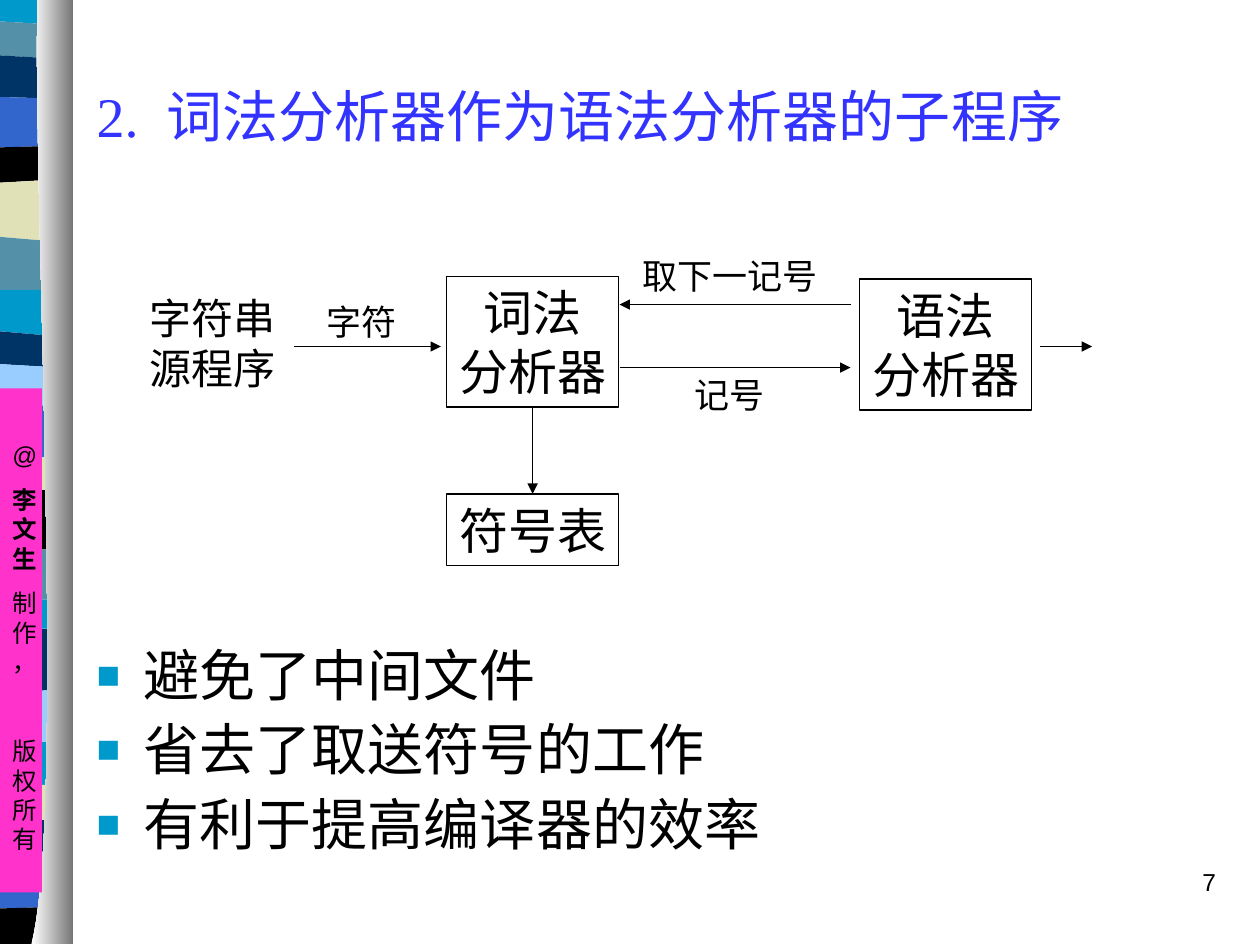
from pptx import Presentation, util as u
from pptx.dml.color import RGBColor
from pptx.enum import shapes, text
from pptx.oxml import parse_xml
from pptx.oxml.ns import nsdecls, qn

C = {"sky": "0099CC", "teal": "5490A8", "navy": "003366", "blue": "3366CC",
     "black": "000000", "sand": "E1E1B7", "pale": "99CCFF", "pink": "FF33CC",
     "title": "3333FF", "white": "FFFFFF", "grey": "767676"}
SERIF, SANS, CJK = "Times New Roman", "Arial", "Noto Sans CJK SC"
LEFT, CENTER = text.PP_ALIGN.LEFT, text.PP_ALIGN.CENTER

prs = Presentation()
prs.slide_width, prs.slide_height = u.Inches(10), u.Inches(7.5)
G = prs.slide_width // 100  # grid of 100 columns by 75 rows
s = prs.slides.add_slide(prs.slide_layouts[1])


def write(sp, lines, align=LEFT, color="black", **font):
    """Fill a shape with paragraphs; each line is a list of (text, overrides)."""
    tf = sp.text_frame
    tf.auto_size = text.MSO_AUTO_SIZE.NONE
    for i, line in enumerate(lines):
        p = tf.paragraphs[0] if i == 0 else tf.add_paragraph()
        p.alignment = align
        for words, extra in line:
            r = p.add_run()
            r.text = words
            for key, value in {**font, **extra}.items():
                setattr(r.font, key, value)
            r.font.color.rgb = RGBColor.from_string(C[color])
    return tf


def outline(points):
    """Closed freeform through grid points, without line or shadow."""
    points = [(x * G, y * G) for x, y in points]
    fb = s.shapes.build_freeform(*points[0])
    fb.add_line_segments(points[1:], close=True)
    sp = fb.convert_to_shape()
    sp.shadow.inherit = False
    sp.line.fill.background()
    sp.fill.solid()
    return sp


# Wavy colour bands bleeding over the left edge: colour, top row at both ends
bands = [("sky", 0, 0), ("teal", 1.7, 1.9), ("navy", 4.4, 4.6), ("blue", 7.7, 7.8),
         ("black", 11.7, 11.6), ("sand", 14.5, 14.3), ("teal", 18.8, 19.1),
         ("sky", 23, 23), ("navy", 26.3, 26.6), ("pale", 28.9, 29.1),
         ("blue", 32.2, 32.2), ("sand", 36.2, 36.3), ("black", 39, 38.9),
         ("teal", 43.5, 43.6), ("sky", 47.6, 47.6), ("navy", 49.9, 49.9),
         ("pale", 55, 54.8), ("sky", 59, 58.9), ("sand", 62.2, 62.3),
         ("navy", 65, 65.1), ("blue", 67.9, 67.9), ("black", 72.1, 72)]
for (name, l, r), (_, l2, r2) in zip(bands, bands[1:] + [("", 74.9, 74.9)]):
    sp = outline([(-5.3, l), (0, l), (3.5, r), (5.6, r),
                  (5.6, r2), (3.5, r2), (0, l2), (-5.3, l2)])
    sp.fill.fore_color.rgb = RGBColor.from_string(C[name])

# Curved shade beside the bands: a Bezier edge sampled in 40 steps
edge = [(3, 0), (2.5, 12.5), (5.3, 64.6), (2.5, 74.9)]
curve = []
for i in range(41):
    t = i / 40
    weights = ((1 - t) ** 3, 3 * t * (1 - t) ** 2, 3 * t ** 2 * (1 - t), t ** 3)
    curve.append(tuple(sum(w * pt[k] for w, pt in zip(weights, edge)) for k in (0, 1)))
sp = outline(curve + [(5.8, 74.9), (5.8, 0)])
sp.fill.gradient()
sp.fill.gradient_angle = 0
for stop, name in zip(sp.fill.gradient_stops, ("white", "grey")):
    stop.color.rgb = RGBColor.from_string(C[name])

# Pink author strip
sp = s.shapes.add_shape(shapes.MSO_SHAPE.RECTANGLE, 0, int(30.83 * G), int(3.33 * G), 40 * G)
sp.shadow.inherit = False
sp.fill.solid()
sp.fill.fore_color.rgb = RGBColor.from_string(C["pink"])
sp.line.fill.background()
tf = write(sp, [[("@", {})], [("李文生", {"bold": True})], [("制作，", {})], [("版权所有", {})]],
           CENTER, name=SANS, size=u.Pt(14))
tf.vertical_anchor, tf.margin_top = text.MSO_ANCHOR.TOP, int(4.1 * G)
for p, gap in zip(tf.paragraphs, (0, 8.8, 8.8, 34)):
    p.space_before = u.Pt(gap)

# Title and list
title, body = s.placeholders
for sp, top, height in ((title, 4.17, 10), (body, 50.9, 19.1)):
    sp.left, sp.top, sp.width, sp.height = (int(v * G) for v in (6.67, top, 91.2, height))
tf = write(title, [[("2.  ", {"name": SERIF}), ("词法分析器作为语法分析器的子程序", {})]],
           color="title", name=CJK, size=u.Pt(32))
tf.vertical_anchor = text.MSO_ANCHOR.MIDDLE
points = ["避免了中间文件", "省去了取送符号的工作", "有利于提高编译器的效率"]
tf = write(body, [[(words, {})] for words in points], text.PP_ALIGN.JUSTIFY,
           name=CJK, size=u.Pt(32))
for p in tf.paragraphs:
    p.line_spacing, p.space_before = 0.9, u.Pt(8)
    pPr = p._p.get_or_add_pPr()
    pPr.set("marL", str(int(3.75 * G)))
    pPr.set("indent", str(int(-3.75 * G)))
    for xml in (f'<a:buClr {nsdecls("a")}><a:srgbClr val="{C["sky"]}"/></a:buClr>',
                f'<a:buSzPct {nsdecls("a")} val="70000"/>',
                f'<a:buFont {nsdecls("a")} typeface="{SANS}"/>',
                f'<a:buChar {nsdecls("a")} char="■"/>'):
        pPr.append(parse_xml(xml))

# Diagram boxes
for left, top, height, lines in ((68.22, 22.15, 10.4, ["语法", "分析器"]),
                                 (35.45, 21.95, 10.35, ["词法", "分析器"]),
                                 (35.45, 39.2, 5.7, ["符号表"])):
    sp = s.shapes.add_shape(shapes.MSO_SHAPE.RECTANGLE,
                            *(int(v * G) for v in (left, top, 13.65, height)))
    sp.shadow.inherit = False
    sp.fill.background()
    sp.line.color.rgb = RGBColor.from_string(C["black"])
    sp.line.width = u.Pt(0.75)
    tf = write(sp, [[(words, {})] for words in lines], CENTER, name=SERIF, size=u.Pt(28))
    tf.word_wrap, tf.vertical_anchor = False, text.MSO_ANCHOR.TOP

# Diagram labels
for words, left, top, width, height, size in (("取下一记号", 50, 19.7, 15.9, 4.4, 20),
                                              ("字符串", 10.9, 22.7, 12, 5, 24),
                                              ("源程序", 10.9, 26.7, 12, 5, 24),
                                              ("字符", 24.9, 23.35, 7.5, 4.4, 20),
                                              ("记号", 54.17, 29.17, 7.5, 4.4, 20)):
    sp = s.shapes.add_textbox(*(int(v * G) for v in (left, top, width, height)))
    write(sp, [[(words, {})]], name=SERIF, size=u.Pt(size)).word_wrap = False

# Arrows
for ends in ((67.5, 24.17, 49.17, 24.17), (49.17, 29.17, 67.5, 29.17),
             (82.5, 27.5, 86.67, 27.5), (23.33, 27.5, 35, 27.5), (42.27, 32.4, 42.27, 39.2)):
    sp = s.shapes.add_connector(shapes.MSO_CONNECTOR.STRAIGHT, *(int(v * G) for v in ends))
    sp.line.color.rgb = RGBColor.from_string(C["black"])
    sp.line.width = u.Pt(0.75)
    sp.line._get_or_add_ln().append(parse_xml(f'<a:tailEnd {nsdecls("a")} type="triangle"/>'))
    sp._element.find(qn("p:spPr")).append(parse_xml(f'<a:effectLst {nsdecls("a")}/>'))

# Page number
sp = s.shapes.add_textbox(*(int(v * G) for v in (76.67, 68.33, 20.83, 5)))
tf = write(sp, [[("7", {})]], text.PP_ALIGN.RIGHT, name=SANS, size=u.Pt(14))
tf.word_wrap = True
tf.paragraphs[0].space_before = u.Pt(8.8)

prs.save("out.pptx")
